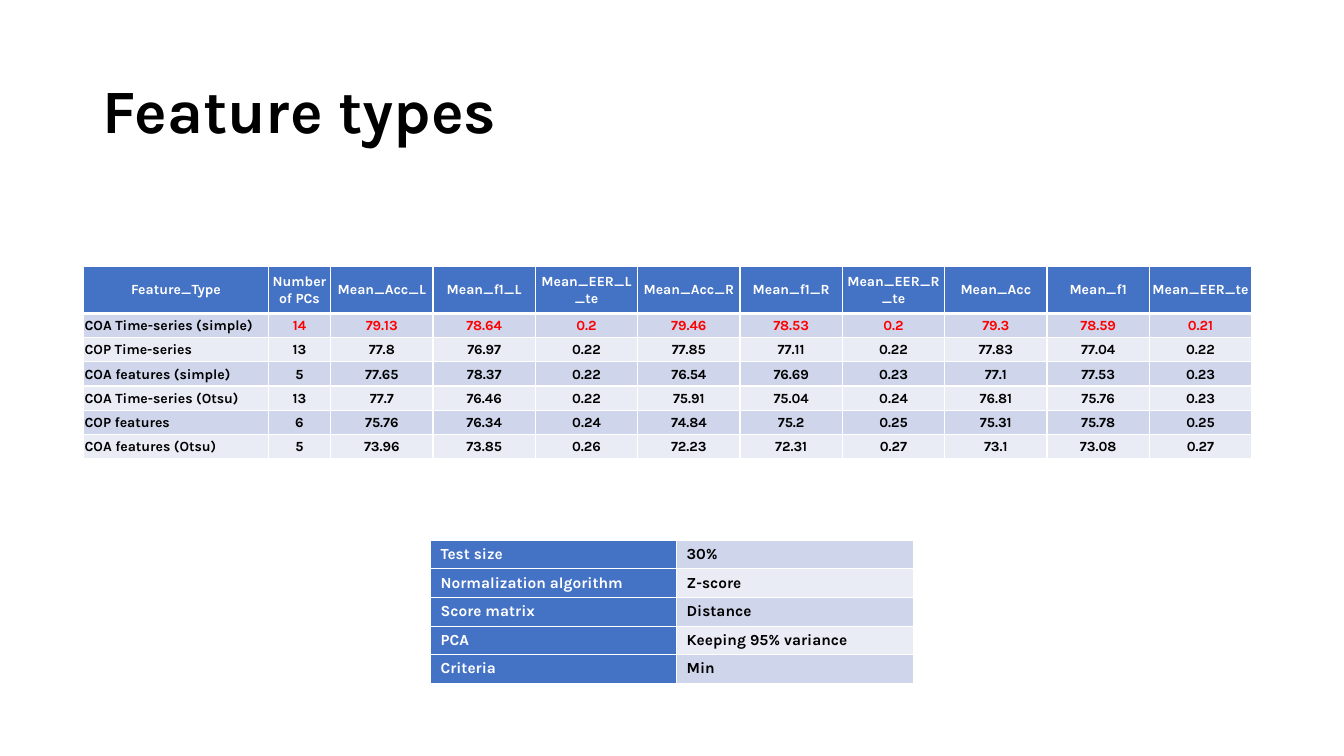
import dataclasses
import typing

import pptx
import pptx.dml.color
import pptx.enum.text
import pptx.oxml
import pptx.oxml.ns
import pptx.slide
import pptx.table
import pptx.text.text
import pptx.util

Inches = pptx.util.Inches
Pt = pptx.util.Pt
ALIGN = pptx.enum.text.PP_ALIGN
ANCHOR = pptx.enum.text.MSO_ANCHOR

FONT = "Karla"
BLACK, WHITE, RED = "000000", "FFFFFF", "FF0000"
HEADING_BLUE = "4472C4"
BANDS = ("CFD5EA", "E9EBF5")


@dataclasses.dataclass(frozen=True)
class CellLook:
    fill: str
    ink: str
    size: float
    align: typing.Any
    layout: dict[str, typing.Any]
    top: float = 1
    bottom: float = 1


@dataclasses.dataclass(frozen=True)
class Grid:
    left: float
    top: float
    column_widths: list[float]
    row_heights: list[float]
    rows: list[list[str]]
    flags: dict[str, bool]
    look: typing.Callable[[int, int], CellLook]


RESULT_LAYOUT = {
    "vertical_anchor": ANCHOR.MIDDLE,
    "margin_left": Inches(0.01),
    "margin_right": Inches(0.01),
    "margin_top": Inches(0.01),
    "margin_bottom": 0,
}

RESULTS = [
    ["Feature_Type", "Number of PCs", "Mean_Acc_L", "Mean_f1_L", "Mean_EER_L_te", "Mean_Acc_R",
     "Mean_f1_R", "Mean_EER_R_te", "Mean_Acc", "Mean_f1", "Mean_EER_te"],
    ["COA Time-series (simple)", "14", "79.13", "78.64", "0.2", "79.46",
     "78.53", "0.2", "79.3", "78.59", "0.21"],
    ["COP Time-series", "13", "77.8", "76.97", "0.22", "77.85",
     "77.11", "0.22", "77.83", "77.04", "0.22"],
    ["COA features (simple)", "5", "77.65", "78.37", "0.22", "76.54",
     "76.69", "0.23", "77.1", "77.53", "0.23"],
    ["COA Time-series (Otsu)", "13", "77.7", "76.46", "0.22", "75.91",
     "75.04", "0.24", "76.81", "75.76", "0.23"],
    ["COP features", "6", "75.76", "76.34", "0.24", "74.84",
     "75.2", "0.25", "75.31", "75.78", "0.25"],
    ["COA features (Otsu)", "5", "73.96", "73.85", "0.26", "72.23",
     "72.31", "0.27", "73.1", "73.08", "0.27"],
]

SETTINGS = [
    ["Test size", "30%"],
    ["Normalization algorithm", "Z-score"],
    ["Score matrix", "Distance"],
    ["PCA", "Keeping 95% variance"],
    ["Criteria", "Min"],
]


def color(value: str) -> pptx.dml.color.RGBColor:
    return pptx.dml.color.RGBColor.from_string(value)


def apply(target: typing.Any, values: dict[str, typing.Any]) -> None:
    for name, value in values.items():
        setattr(target, name, value)


def write(paragraph: pptx.text.text._Paragraph, text: str, size: float, ink: str) -> None:
    run = paragraph.add_run()
    run.text = text
    apply(run.font, {"name": FONT, "size": Pt(size), "bold": True})
    run.font.color.rgb = color(ink)


def add_borders(cell: pptx.table._Cell, top: float, bottom: float) -> None:
    properties = cell._tc.get_or_add_tcPr()
    widths = {"lnL": 1, "lnR": 1, "lnT": top, "lnB": bottom}
    for position, (side, width) in enumerate(widths.items()):
        border = pptx.oxml.parse_xml(
            f'<a:{side} {pptx.oxml.ns.nsdecls("a")} w="{Pt(width)}">'
            f'<a:solidFill><a:srgbClr val="{WHITE}"/></a:solidFill></a:{side}>'
        )
        properties.insert(position, border)


def result_look(row: int, column: int) -> CellLook:
    if row == 0:
        return CellLook(HEADING_BLUE, WHITE, 10, ALIGN.CENTER, RESULT_LAYOUT, bottom=3)
    return CellLook(
        fill=BANDS[(row - 1) % 2],
        ink=RED if row == 1 and column > 0 else BLACK,
        size=10,
        align=ALIGN.CENTER if column else ALIGN.LEFT,
        layout=RESULT_LAYOUT,
        top=3 if row == 1 else 1,
    )


def setting_look(row: int, column: int) -> CellLook:
    if column == 0:
        return CellLook(HEADING_BLUE, WHITE, 11, ALIGN.LEFT, {})
    return CellLook(BANDS[row % 2], BLACK, 11, ALIGN.LEFT, {})


def draw_grid(slide: pptx.slide.Slide, grid: Grid) -> None:
    table = slide.shapes.add_table(
        len(grid.rows), len(grid.column_widths), Inches(grid.left), Inches(grid.top),
        Inches(sum(grid.column_widths)), Inches(sum(grid.row_heights)),
    ).table
    apply(table, grid.flags)
    for column, width in zip(table.columns, grid.column_widths):
        column.width = Inches(width)
    for row, height in zip(table.rows, grid.row_heights):
        row.height = Inches(height)
    for row_index, texts in enumerate(grid.rows):
        for column_index, text in enumerate(texts):
            look = grid.look(row_index, column_index)
            cell = table.cell(row_index, column_index)
            apply(cell, look.layout)
            cell.fill.solid()
            cell.fill.fore_color.rgb = color(look.fill)
            add_borders(cell, look.top, look.bottom)
            paragraph = cell.text_frame.paragraphs[0]
            paragraph.alignment = look.align
            write(paragraph, text, look.size, look.ink)


def draw_title(slide: pptx.slide.Slide) -> None:
    frame = slide.shapes.add_textbox(
        Inches(0.92), Inches(0.4), Inches(11.5), Inches(1.45)
    ).text_frame
    apply(frame, {"word_wrap": True, "vertical_anchor": ANCHOR.MIDDLE})
    frame.paragraphs[0].line_spacing = 0.9
    write(frame.paragraphs[0], "Feature types", 44, BLACK)


def main() -> None:
    deck = pptx.Presentation()
    apply(deck, {"slide_width": Inches(13.33), "slide_height": Inches(7.5)})
    slide = deck.slides.add_slide(deck.slide_layouts[6])
    draw_title(slide)
    grids = [
        Grid(4.27, 5.36, [2.44, 2.35], [0.28] * len(SETTINGS), SETTINGS,
             {"first_row": False, "first_col": True}, setting_look),
        Grid(0.83, 2.64, [1.83, 0.62] + [1.015] * 9, [0.47] + [0.24] * 6, RESULTS,
             {"first_row": True}, result_look),
    ]
    for grid in grids:
        draw_grid(slide, grid)
    deck.save("out.pptx")


if __name__ == "__main__":
    main()
